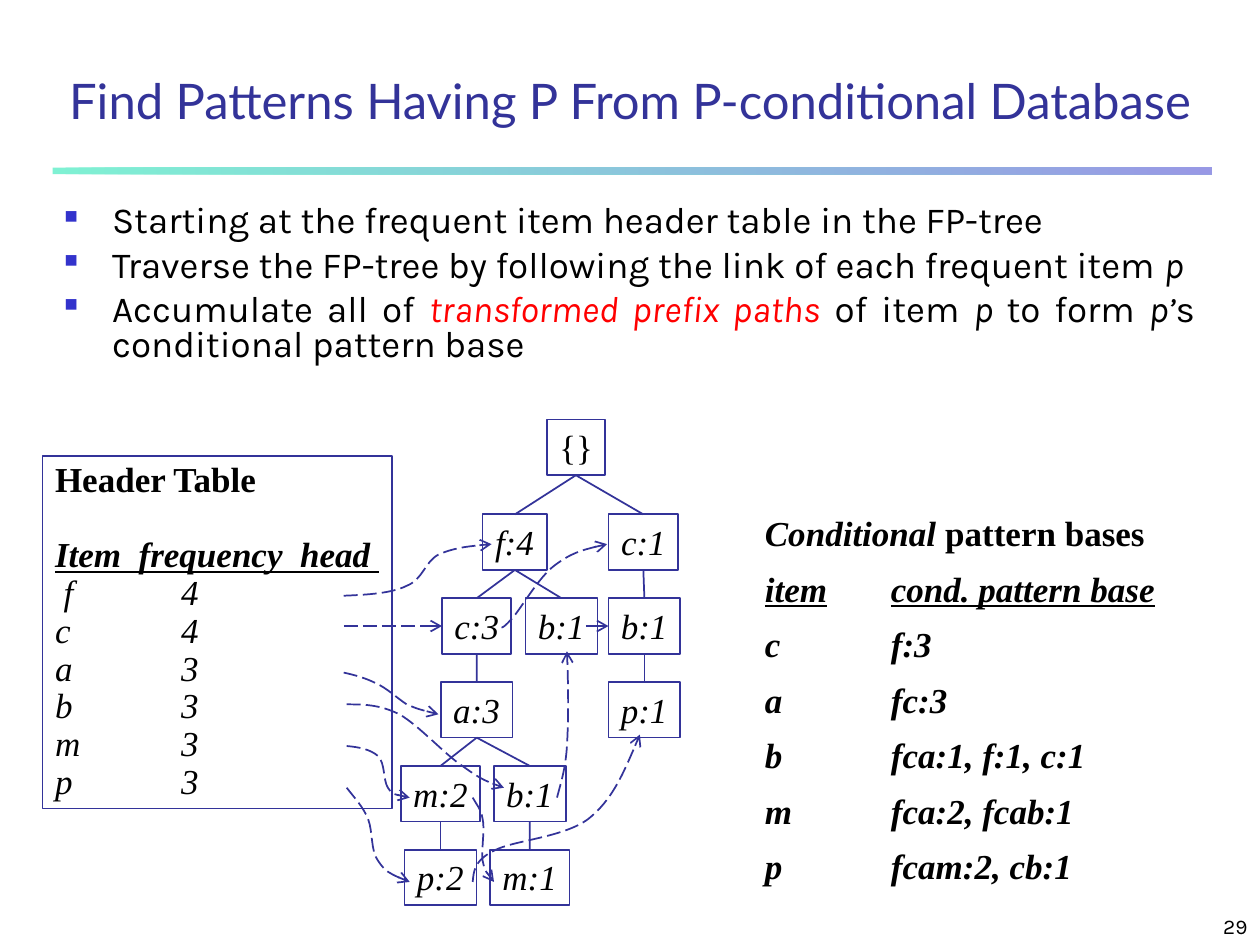
"""Build the slide on finding patterns from a conditional database."""
from lxml import etree
from pptx import Presentation
from pptx.dml.color import RGBColor
from pptx.enum import dml, shapes, text
from pptx.oxml import ns
from pptx.util import Cm, Pt


class Theme:
    ink = RGBColor.from_string("000000")
    navy = RGBColor.from_string("333399")
    accent = RGBColor.from_string("FF0000")
    bullet = "3333CC"
    rule = ("00E4A8", "3333CC")
    title_font, body_font, figure_font = "Lato", "Karla", "Times New Roman"
    title_size, body_size, figure_size, number_size = 28, 21, 20, 12
    line_width = Pt(1)


def write(paragraph, words, font=Theme.figure_font, size=Theme.figure_size, color=Theme.ink,
          bold=False, italic=False, underline=False):
    run = paragraph.add_run()
    run.text = words
    run.font.name, run.font.size = font, Pt(size)
    run.font.color.rgb = color
    run.font.bold, run.font.italic, run.font.underline = bold, italic, underline


def draw_line(shape, link=False):
    shape.line.color.rgb = Theme.navy
    shape.line.width = Theme.line_width
    properties = shape.line._get_or_add_ln()
    if link:
        shape.line.dash_style = dml.MSO_LINE.LONG_DASH
        etree.SubElement(properties, ns.qn("a:tailEnd"), type="arrow")
    properties.addnext(etree.Element(ns.qn("a:effectLst")))


presentation = Presentation()
presentation.slide_width, presentation.slide_height = Cm(25.4), Cm(19.05)
slide = presentation.slides.add_slide(presentation.slide_layouts[5])

rule = slide.shapes.add_shape(shapes.MSO_SHAPE.RECTANGLE, Cm(1.06), Cm(3.38), Cm(23.37), Cm(0.13))
rule.shadow.inherit = False
rule.line.fill.background()
rule.fill.gradient()
rule.fill.gradient_angle = 0
for stop, position, color in zip(rule.fill.gradient_stops, (0, 1), Theme.rule):
    stop.position = position
    stop.color.rgb = RGBColor.from_string(color)
for color in rule._element.spPr.iter(ns.qn("a:srgbClr")):
    etree.SubElement(color, ns.qn("a:alpha"), val="50000")

title = slide.shapes.title
title.left, title.top, title.width, title.height = Cm(0), Cm(0.84), Cm(25.4), Cm(1.9)
title.text_frame.auto_size = text.MSO_AUTO_SIZE.NONE
title.text_frame.vertical_anchor = text.MSO_ANCHOR.BOTTOM
paragraph = title.text_frame.paragraphs[0]
paragraph.alignment = text.PP_ALIGN.CENTER
paragraph.line_spacing = 0.9
write(paragraph, "Find Patterns Having P From P-conditional Database",
      font=Theme.title_font, size=Theme.title_size, color=Theme.navy)

number = slide.shapes.add_textbox(Cm(20.12), Cm(17.98), Cm(5.28), Cm(1.07)).text_frame
number.word_wrap = True
number.vertical_anchor = text.MSO_ANCHOR.BOTTOM
number.paragraphs[0].alignment = text.PP_ALIGN.RIGHT
write(number.paragraphs[0], "29", font=Theme.body_font, size=Theme.number_size)

emphasis = {"italic": True}
steps = [
    [("Starting at the frequent item header table in the FP-tree", {})],
    [("Traverse the FP-tree by following the link of each frequent item ", {}), ("p", emphasis)],
    [("Accumulate all of ", {}),
     ("transformed prefix paths", {"italic": True, "color": Theme.accent}),
     (" of item ", {}), ("p ", emphasis), ("to form ", {}), ("p’", emphasis),
     ("s conditional pattern base", {})],
]
body = slide.shapes.add_textbox(Cm(1.05), Cm(4.02), Cm(23.29), Cm(4.24)).text_frame
body.word_wrap = True
for index, runs in enumerate(steps):
    paragraph = body.add_paragraph() if index else body.paragraphs[0]
    paragraph.alignment = text.PP_ALIGN.JUSTIFY
    paragraph.line_spacing, paragraph.space_before = 0.8, Pt(5.2)
    properties = paragraph._p.get_or_add_pPr()
    properties.set("marL", str(Cm(0.96)))
    properties.set("indent", str(Cm(-0.96)))
    bullet_color = etree.SubElement(properties, ns.qn("a:buClr"))
    etree.SubElement(bullet_color, ns.qn("a:srgbClr"), val=Theme.bullet)
    etree.SubElement(properties, ns.qn("a:buSzPct"), val="50000")
    etree.SubElement(properties, ns.qn("a:buChar"), char="■")
    for words, style in runs:
        write(paragraph, words, font=Theme.body_font, size=Theme.body_size, **style)

bases = slide.shapes.add_textbox(Cm(15.17), Cm(10.19), Cm(9.25), Cm(7.82)).text_frame
bases.word_wrap = True
paragraph = bases.paragraphs[0]
paragraph.space_before = Pt(12.5)
write(paragraph, "Conditional ", bold=True, italic=True)
write(paragraph, "pattern bases", bold=True)
base_rows = ["item\tcond. pattern base", "c\tf:3", "a\tfc:3", "b\tfca:1, f:1, c:1",
             "m\tfca:2, fcab:1", "p\tfcam:2, cb:1"]
for index, words in enumerate(base_rows):
    paragraph = bases.add_paragraph()
    paragraph.line_spacing, paragraph.space_before = 0.8, Pt(12.5)
    write(paragraph, words, bold=True, italic=True, underline=index == 0)

header = slide.shapes.add_shape(shapes.MSO_SHAPE.RECTANGLE, Cm(0.86), Cm(9.19), Cm(7.04), Cm(7.11))
header.fill.background()
draw_line(header)
header.text_frame.vertical_anchor = text.MSO_ANCHOR.TOP
header_rows = [("Header Table", {"bold": True}),
               ("Item  frequency  head ", {"bold": True, "italic": True, "underline": True})]
header_rows += [(row, emphasis) for row in (" f\t4", "c\t4", "a\t3", "b\t3", "m\t3", "p\t3")]
for index, (words, style) in enumerate(header_rows):
    paragraph = header.text_frame.add_paragraph() if index else header.text_frame.paragraphs[0]
    paragraph.alignment = text.PP_ALIGN.LEFT
    paragraph.line_spacing = 0.9
    write(paragraph, words, **style)
header.text_frame.paragraphs[1].space_before = Pt(21.5)

for paragraph in (*bases.paragraphs, *header.text_frame.paragraphs):
    if "\t" in paragraph.text:
        tab_list = etree.SubElement(paragraph._p.get_or_add_pPr(), ns.qn("a:tabLst"))
        etree.SubElement(tab_list, ns.qn("a:tab"), pos=str(Cm(2.54)), algn="l")

tree = [
    ("root", "{}", 11.61, 8.46, 1.17, None), ("f", "f:4", 10.38, 10.37, 1.3, "root"),
    ("c right", "c:1", 12.97, 10.37, 1.4, "root"), ("c", "c:3", 9.61, 12.06, 1.4, "f"),
    ("b middle", "b:1", 11.32, 12.06, 1.45, "f"), ("b right", "b:1", 12.99, 12.06, 1.45, "c right"),
    ("a", "a:3", 9.61, 13.75, 1.45, "c"), ("p right", "p:1", 12.99, 13.75, 1.45, "b right"),
    ("m", "m:2", 8.88, 15.44, 1.6, "a"), ("b", "b:1", 10.68, 15.44, 1.45, "a"),
    ("p", "p:2", 8.88, 17.13, 1.45, "m"), ("m lower", "m:1", 10.68, 17.13, 1.6, "b"),
]
nodes = {}
for name, label, center, top, width, parent in tree:
    node = slide.shapes.add_shape(shapes.MSO_SHAPE.RECTANGLE, Cm(center - width / 2), Cm(top),
                                  Cm(width), Cm(1.12))
    nodes[name] = node
    node.fill.background()
    draw_line(node)
    node.text_frame.word_wrap = False
    node.text_frame.vertical_anchor = text.MSO_ANCHOR.TOP
    node.text_frame.paragraphs[0].alignment = text.PP_ALIGN.LEFT
    write(node.text_frame.paragraphs[0], label, italic=name != "root")
    if parent:
        branch = slide.shapes.add_connector(shapes.MSO_CONNECTOR.STRAIGHT, 0, 0, 0, 0)
        branch.begin_connect(nodes[parent], 2)
        branch.end_connect(node, 0)
        draw_line(branch)

for start, target in ((6.93, "c"), (11.81, "b right")):
    height = nodes[target].top + nodes[target].height // 2
    link = slide.shapes.add_connector(shapes.MSO_CONNECTOR.STRAIGHT, Cm(start), height, Cm(start), height)
    link.end_connect(nodes[target], 1)
    draw_line(link, link=True)

curves = [
    [(6.93, 12.01), (7.42, 11.99), (7.9, 11.96), (8.2, 11.81), (8.53, 11.68), (8.56, 11.33),
     (8.84, 11.18), (9.14, 11.05), (9.53, 11), (9.91, 10.97)],
    [(10.11, 12.65), (10.13, 12.65), (10.16, 12.65), (10.34, 12.45), (10.52, 12.24), (10.87, 11.63),
     (11.18, 11.4), (11.51, 11.15), (11.86, 11.05), (12.24, 10.97)],
    [(6.93, 13.56), (7.16, 13.61), (7.37, 13.67), (7.57, 13.77), (7.8, 13.87), (8, 14.07),
     (8.2, 14.2), (8.43, 14.3), (8.64, 14.35), (8.84, 14.4)],
    [(6.99, 14.2), (7.32, 14.2), (7.65, 14.2), (8.05, 14.4), (8.43, 14.61), (8.97, 15.21),
     (9.32, 15.44), (9.68, 15.7), (9.91, 15.8), (10.16, 15.88)],
    [(11.23, 16.08), (11.3, 15.8), (11.4, 15.52), (11.43, 15.04), (11.46, 14.53), (11.46, 13.84),
     (11.43, 13.13)],
    [(6.99, 15.04), (7.24, 15.06), (7.47, 15.11), (7.62, 15.24), (7.77, 15.39), (7.72, 15.72),
     (7.82, 15.88), (7.92, 16.03), (8.1, 16.05), (8.26, 16.08)],
    [(9.53, 16.08), (9.6, 16.21), (9.7, 16.31), (9.73, 16.51), (9.78, 16.71), (9.7, 17.15),
     (9.73, 17.35), (9.78, 17.58), (9.86, 17.68), (9.96, 17.78)],
    [(6.99, 15.88), (7.14, 16.08), (7.32, 16.26), (7.42, 16.51), (7.52, 16.76), (7.47, 17.15),
     (7.62, 17.35), (7.77, 17.58), (8, 17.68), (8.26, 17.78)],
    [(9.53, 17.78), (9.55, 17.58), (9.55, 17.35), (9.96, 17.15), (10.34, 16.94), (11.35, 16.89),
     (11.86, 16.51), (12.34, 16.13), (12.62, 15.47), (12.9, 14.81)],
]
for curve in curves:
    start, *controls = [(Cm(x), Cm(y)) for x, y in curve]
    builder = slide.shapes.build_freeform(*start)
    builder.add_line_segments(controls, close=False)
    link = builder.convert_to_shape()
    segments = list(link._element.iter(ns.qn("a:lnTo")))
    for first in range(0, len(segments), 3):
        bezier = etree.SubElement(segments[first].getparent(), ns.qn("a:cubicBezTo"))
        for segment in segments[first:first + 3]:
            bezier.append(segment[0])
            segment.getparent().remove(segment)
    link.fill.background()
    draw_line(link, link=True)

presentation.save("out.pptx")
